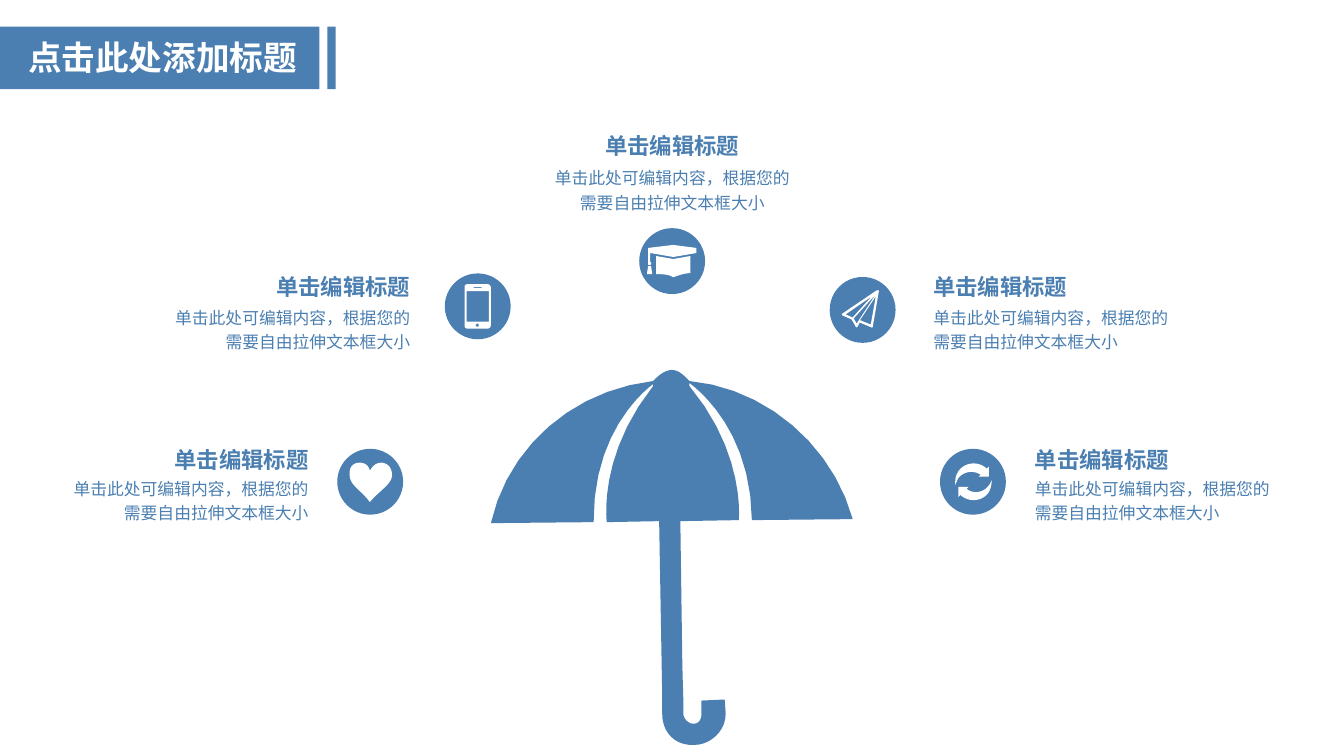
"""Build the umbrella slide with five captioned icons."""
from pptx import Presentation
from pptx.dml.color import RGBColor
from pptx.enum.shapes import MSO_SHAPE
from pptx.enum.text import MSO_AUTO_SIZE, PP_ALIGN
from pptx.oxml.ns import qn
from pptx.util import Cm, Pt

COLORS = {"blue": "4B7FB1", "white": "FFFFFF"}
FONT = "Arial"
UNIT = Cm(2.54) / 100
CURVE_STEPS = 10
DISC = 1.66
HEADING_W, BODY_W = 3.94, 6.81
HEADING = "单击编辑标题"
BODY = "单击此处可编辑内容，根据您的需要自由拉伸文本框大小"
SHIFT = {PP_ALIGN.LEFT: 0, PP_ALIGN.CENTER: 0.5, PP_ALIGN.RIGHT: 1}

# Each contour: a start point, then comma-separated lines (x y) or cubic curves.
UMBRELLA = [
    "746 516, 846 515, 826 442 760 385 684 378, 679 373 674 367 666 367,"
    "658 368 653 373 648 378, 569 387 504 443 487 519, 589 518,"
    "588 431 637 389 648 381, 648 383, 593 452 602 518 602 518, 654 517,"
    "657 690, 657 708, 657 727 670 740 689 739, 704 739 720 726 720 708,"
    "719 694, 696 695, 696 708, 696 713 694 718 688 718,"
    "683 718 678 713 678 708, 678 695, 677 661, 675 517, 733 516,"
    "733 516 740 450 684 383, 684 380, 695 388 745 429 746 516"]
HEART = [
    "367 467, 366 462 362 459 357 459, 349 459 346 465 347 472,"
    "347 481 359 487 367 498, 376 487 388 481 389 472,"
    "389 465 386 460 379 459, 373 459 370 462 367 467"]
UPPER_ARROW = [
    "979 465, 972 458 960 458 953 465, 949 469 947 475 948 481,"
    "949 478 950 475 952 473, 958 467 967 467 973 471, 971 473,"
    "981 473, 981 463"]
LOWER_ARROW = [
    "953 491, 960 498 972 498 979 491, 983 487 984 481 984 476,"
    "983 479 982 481 979 484, 974 489 965 490 959 485, 961 483,"
    "951 483, 951 493"]
PHONE = [
    "484 282, 464 282, 462 282 461 283 461 285, 461 323,"
    "461 325 462 326 464 326, 484 326, 485 326 487 325 487 323,"
    "487 285, 487 283 485 282 484 282",
    "470 285, 478 285, 478 286, 470 286",
    "474 324, 473 324 472 324 472 323, 472 322 473 321 474 321,"
    "475 321 475 322 475 323, 475 324 475 324 474 324",
    "485 319, 463 319, 463 289, 485 289"]
PLANE = [
    "872 288, 870 288, 836 311, 835 311 835 313 836 313, 845 317,"
    "849 324, 849 325 851 325 851 324, 853 320, 865 325,"
    "866 325 866 324 866 324, 872 289",
    "839 312, 865 294, 846 315",
    "847 316, 869 292, 850 321",
    "864 322, 854 318, 853 318, 869 294"]
CAP = [
    "691 246, 668 243, 643 246, 643 260, 643 262 643 263 644 263,"
    "646 263 646 262 646 261, 646 260 646 260 645 260, 645 251,"
    "668 255, 691 251",
    "646 264, 645 264 644 264 643 264, 643 266 642 269 642 272,"
    "646 272, 647 272, 647 269 646 266 646 264",
    "651 272, 651 254, 668 257, 685 254, 685 271,"
    "679 271 674 273 668 275, 663 272 657 272 651 272"]

ICONS = [
    (9.33, 12.14, [HEART]),
    (24.52, 12.14, [UPPER_ARROW, LOWER_ARROW]),
    (12.04, 7.72, [PHONE]),
    (21.74, 7.81, [PLANE]),
    (16.94, 6.58, [CAP]),
]
CAPTIONS = [
    (13.54, 3.07, 4.01, PP_ALIGN.CENTER),
    (3.78, 6.63, 7.52, PP_ALIGN.RIGHT),
    (23.27, 6.63, 7.52, PP_ALIGN.LEFT),
    (1.22, 10.97, 11.84, PP_ALIGN.RIGHT),
    (25.83, 10.97, 11.84, PP_ALIGN.LEFT),
]


def paint(sp, color):
    """Give a shape a flat fill without line or shadow."""
    sp.shadow.inherit = False
    sp.fill.solid()
    sp.fill.fore_color.rgb = RGBColor.from_string(COLORS[color])
    sp.line.fill.background()


def add_preset(s, kind, x, y, w, h):
    """Add a blue preset shape, measured in centimetres."""
    paint(s.shapes.add_shape(kind, Cm(x), Cm(y), Cm(w), Cm(h)), "blue")


def trace(contour):
    """Turn a contour string into a list of points."""
    segments = [[float(n) * UNIT for n in part.split()]
                for part in contour.split(",")]
    points = [tuple(segments[0])]
    for seg in segments[1:]:
        if len(seg) == 2:
            points.append(tuple(seg))
            continue
        ctrl = [points[-1], *zip(seg[::2], seg[1::2])]
        for step in range(1, CURVE_STEPS + 1):
            t = step / CURVE_STEPS
            u = 1 - t
            weights = (u ** 3, 3 * u * u * t, 3 * u * t * t, t ** 3)
            points.append(tuple(sum(w * c[axis] for w, c in zip(weights, ctrl))
                                for axis in (0, 1)))
    return points


def add_outline(s, contours, color):
    """Add one freeform made of closed contours."""
    outlines = [trace(c) for c in contours]
    builder = s.shapes.build_freeform(*outlines[0][0])
    for i, points in enumerate(outlines):
        if i:
            builder.move_to(*points[0])
        builder.add_line_segments(points[1:], close=True)
    paint(builder.convert_to_shape(), color)


def add_text(s, text, x, y, w, h, *, size, color="blue", bold=False,
             align=PP_ALIGN.LEFT, wrap=True, spacing=None):
    """Add a text box with a single formatted paragraph."""
    tf = s.shapes.add_textbox(Cm(x), Cm(y), Cm(w), Cm(h)).text_frame
    tf.word_wrap = wrap
    tf.auto_size = MSO_AUTO_SIZE.SHAPE_TO_FIT_TEXT
    p = tf.paragraphs[0]
    p.alignment = align
    p.line_spacing = spacing
    r = p.add_run()
    r.text = text
    r.font.name = FONT
    r.font.size = Pt(size)
    r.font.bold = bold
    r.font.color.rgb = RGBColor.from_string(COLORS[color])
    rpr = r.font._element
    rpr.append(rpr.makeelement(qn("a:ea"), {"typeface": FONT}))


def add_caption(s, x, heading_y, body_y, align):
    """Add a heading and its body text on a common edge."""
    heading_x = x + (BODY_W - HEADING_W) * SHIFT[align]
    add_text(s, HEADING, heading_x, heading_y, HEADING_W, 1.02, size=16,
             bold=True, align=align, wrap=False, spacing=1.2)
    add_text(s, BODY, x, body_y, BODY_W, 1.5, size=12, align=align,
             spacing=1.2)


def add_icon(s, cx, cy, glyphs):
    """Add a blue disc with white glyphs on it."""
    add_preset(s, MSO_SHAPE.OVAL, cx - DISC / 2, cy - DISC / 2, DISC, DISC)
    for glyph in glyphs:
        add_outline(s, glyph, "white")


def main():
    """Build and save the slide."""
    prs = Presentation()
    prs.slide_width, prs.slide_height = Cm(33.87), Cm(19.05)
    s = prs.slides.add_slide(prs.slide_layouts[6])
    for x, w in ((8.25, 0.21), (0, 8.05)):
        add_preset(s, MSO_SHAPE.RECTANGLE, x, 0.67, w, 1.58)
    add_text(s, "点击此处添加标题", 0.46, 0.81, 8, 1.28, size=24,
             color="white", bold=True)
    add_outline(s, UMBRELLA, "blue")
    for icon in ICONS:
        add_icon(s, *icon)
    for caption in CAPTIONS:
        add_caption(s, *caption)
    prs.save("out.pptx")


if __name__ == "__main__":
    main()
